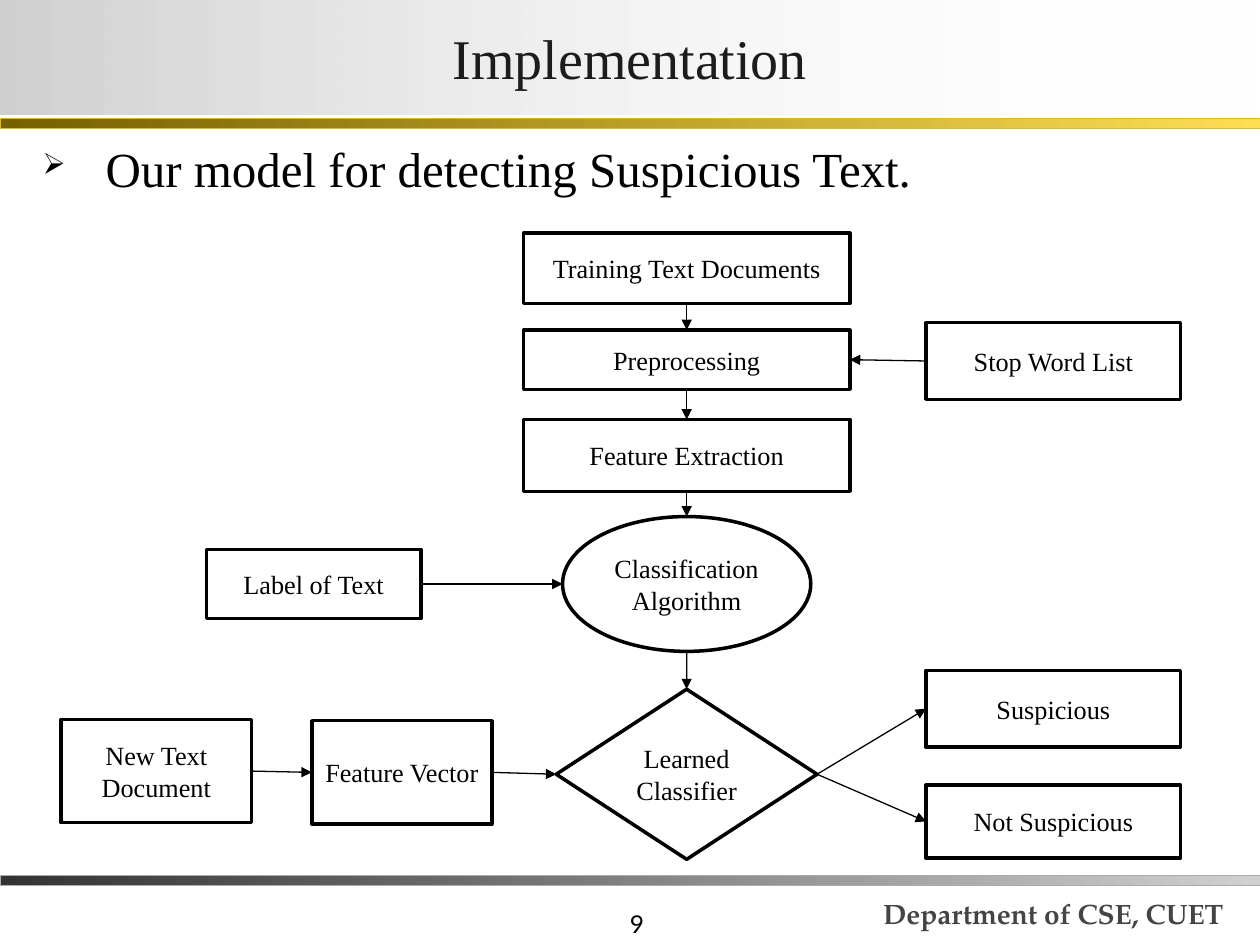
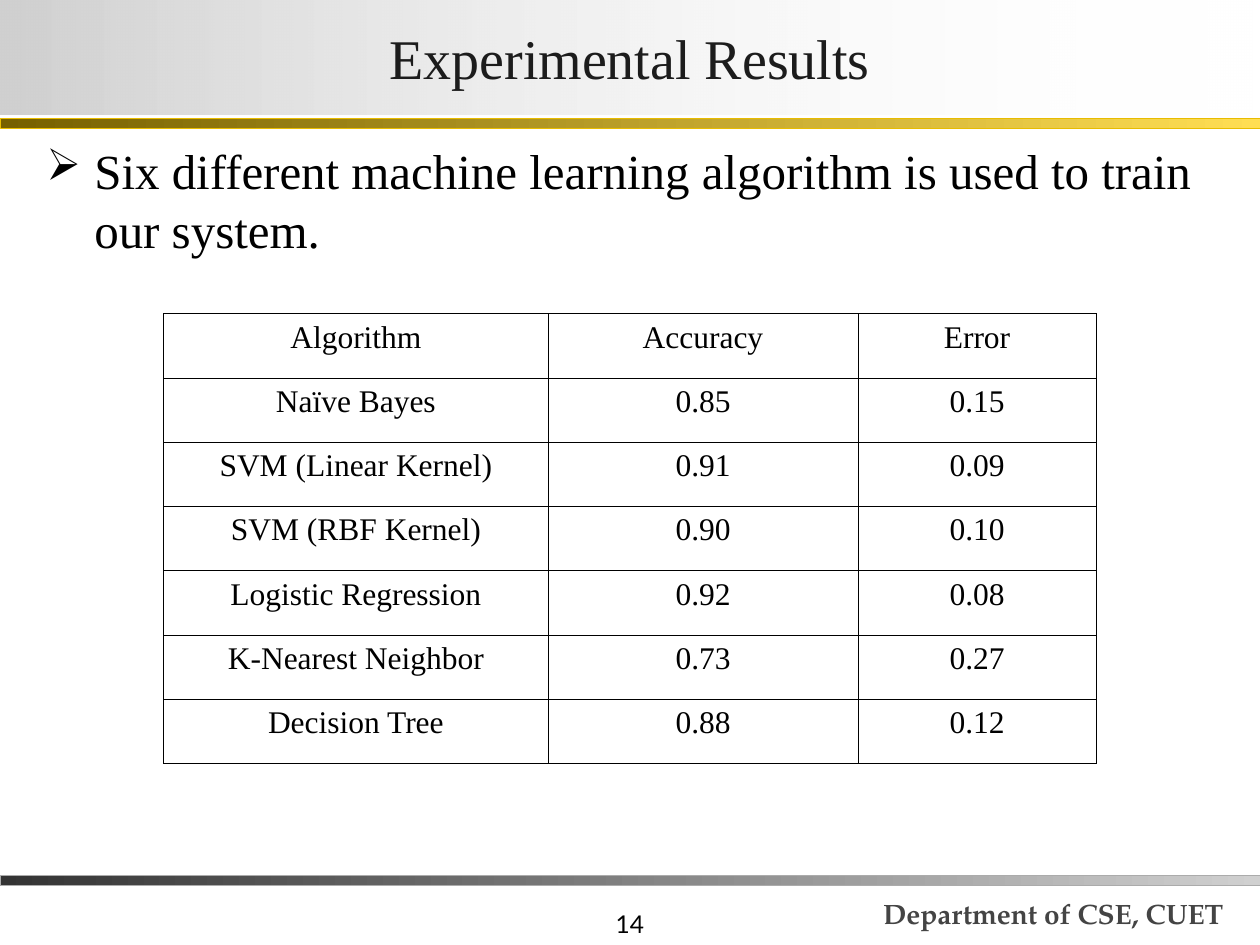
"""Build two slides on suspicious text detection: the model flowchart and the results table."""
from dataclasses import dataclass

from lxml.etree import SubElement
from pptx import Presentation
from pptx.dml.color import RGBColor
from pptx.enum.shapes import MSO_CONNECTOR, MSO_SHAPE
from pptx.enum.text import MSO_ANCHOR, PP_ALIGN
from pptx.oxml.ns import qn
from pptx.util import Inches, Pt


@dataclass(frozen=True)
class Theme:
    ink: str = "000000"
    paper: str = "FFFFFF"
    title_ink: str = "1C1C1C"
    footer_ink: str = "444444"
    title_band: tuple = ("D0D0D0", "FFFFFF")
    gold_band: tuple = ("766000", "FFDE53")
    gold_edge: str = "E8BC00"
    grey_band: tuple = ("333333", "D0D0D0")
    grey_edge: str = "ABABAB"
    body_font: str = "Times New Roman"
    number_font: str = "Lato"
    footer_font: str = "TeX Gyre Pagella"
    title_size: float = 32
    bullet_size: float = 28
    table_size: float = 18
    footer_size: float = 16
    node_size: float = 15
    number_size: float = 14
    band_line: float = 0.25
    node_line: float = 2
    arrow_line: float = 0.75
    cell_line: float = 0.45


T = Theme()
FOOTER = "Department of CSE, CUET"
TOP, LEFT, BOTTOM, RIGHT = range(4)
BOX, OVAL, DIAMOND = MSO_SHAPE.RECTANGLE, MSO_SHAPE.OVAL, MSO_SHAPE.FLOWCHART_DECISION
MAIN_X, SIDE_X = 5.45, 8.36

# name: (shape, centre x, top, width, height, lines)
NODES = {
    "training": (BOX, MAIN_X, 1.85, 2.59, 0.56, ["Training Text Documents"]),
    "preprocessing": (BOX, MAIN_X, 2.62, 2.59, 0.47, ["Preprocessing"]),
    "extraction": (BOX, MAIN_X, 3.33, 2.59, 0.57, ["Feature Extraction"]),
    "algorithm": (OVAL, MAIN_X, 4.1, 1.97, 1.07, ["Classification", "Algorithm"]),
    "classifier": (DIAMOND, MAIN_X, 5.47, 2.07, 1.35, ["Learned Classifier"]),
    "stop words": (BOX, SIDE_X, 2.56, 2.02, 0.61, ["Stop Word List"]),
    "suspicious": (BOX, SIDE_X, 5.32, 2.02, 0.61, ["Suspicious"]),
    "not suspicious": (BOX, SIDE_X, 6.23, 2.02, 0.58, ["Not Suspicious"]),
    "label": (BOX, 2.49, 4.36, 1.7, 0.55, ["Label of Text"]),
    "new document": (BOX, 1.24, 5.71, 1.51, 0.82, ["New Text Document"]),
    "vector": (BOX, 3.19, 5.72, 1.43, 0.82, ["Feature Vector"]),
}
ARROWS = [
    ("training", BOTTOM, "preprocessing", TOP),
    ("preprocessing", BOTTOM, "extraction", TOP),
    ("extraction", BOTTOM, "algorithm", TOP),
    ("algorithm", BOTTOM, "classifier", TOP),
    ("stop words", LEFT, "preprocessing", RIGHT),
    ("label", RIGHT, "algorithm", LEFT),
    ("new document", RIGHT, "vector", LEFT),
    ("vector", RIGHT, "classifier", LEFT),
    ("classifier", RIGHT, "suspicious", LEFT),
    ("classifier", RIGHT, "not suspicious", LEFT),
]
RESULTS = [
    ("Algorithm", "Accuracy", "Error"),
    ("Naïve Bayes", "0.85", "0.15"),
    ("SVM (Linear Kernel)", "0.91", "0.09"),
    ("SVM (RBF Kernel)", "0.90", "0.10"),
    ("Logistic Regression", "0.92", "0.08"),
    ("K-Nearest Neighbor", "0.73", "0.27"),
    ("Decision Tree", "0.88", "0.12"),
]
COLUMNS = (3.05, 2.46, 1.89)
ROW_HEIGHT = 0.51


def rgb(value):
    return RGBColor.from_string(value)


def write(tf, lines, size, color=T.ink, font=T.body_font, align=PP_ALIGN.CENTER, bold=False):
    tf.word_wrap = True
    for i, line in enumerate(lines):
        p = tf.add_paragraph() if i else tf.paragraphs[0]
        p.alignment = align
        r = p.add_run()
        r.text = line
        r.font.size, r.font.name, r.font.bold = Pt(size), font, bold
        r.font.color.rgb = rgb(color)


def add_text(s, box, lines, size, anchor=MSO_ANCHOR.TOP, **style):
    tf = s.shapes.add_textbox(*map(Inches, box)).text_frame
    tf.vertical_anchor = anchor
    write(tf, lines, size, **style)
    return tf


def add_band(s, top, height, colors, edge=None):
    sp = s.shapes.add_shape(BOX, 0, Inches(top), Inches(10), Inches(height))
    sp.shadow.inherit = False
    sp.fill.gradient()
    sp.fill.gradient_angle = 0
    for stop, color, position in zip(sp.fill.gradient_stops, colors, (0, 1)):
        stop.color.rgb = rgb(color)
        stop.position = position
    if edge:
        sp.line.color.rgb = rgb(edge)
        sp.line.width = Pt(T.band_line)
    else:
        sp.line.fill.background()
    return sp


def add_slide(prs, title, number):
    s = prs.slides.add_slide(prs.slide_layouts[6])
    add_text(s, (3.13, 7, 2.08, 0.5), [number], T.number_size, MSO_ANCHOR.BOTTOM,
             font=T.number_font, align=PP_ALIGN.RIGHT)
    add_text(s, (6.64, 6.8, 3.44, 0.63), [FOOTER], T.footer_size, MSO_ANCHOR.BOTTOM,
             color=T.footer_ink, font=T.footer_font, bold=True)
    add_band(s, 6.95, 0.08, T.grey_band, T.grey_edge)
    add_band(s, 0.94, 0.08, T.gold_band, T.gold_edge)
    sp = add_band(s, 0, 0.91, T.title_band)
    last_color = sp._element.spPr.findall(".//" + qn("a:srgbClr"))[-1]
    SubElement(last_color, qn("a:alpha"), val="0")
    sp.text_frame.vertical_anchor = MSO_ANCHOR.MIDDLE
    write(sp.text_frame, [title], T.title_size, T.title_ink)
    return s


def add_bullet(s, box, text, indent, percent):
    tf = add_text(s, box, [text], T.bullet_size, align=PP_ALIGN.LEFT)
    pPr = tf.paragraphs[0]._p.get_or_add_pPr()
    pPr.set("marL", str(Inches(indent)))
    pPr.set("indent", str(-Inches(indent)))
    SubElement(SubElement(pPr, qn("a:buClr")), qn("a:srgbClr"), val=T.ink)
    SubElement(pPr, qn("a:buSzPct"), val=str(percent * 1000))
    SubElement(pPr, qn("a:buChar"), char="➢")


def add_node(s, shape, centre, top, width, height, lines):
    sp = s.shapes.add_shape(shape, *map(Inches, (centre - width / 2, top, width, height)))
    sp.shadow.inherit = False
    sp.fill.solid()
    sp.fill.fore_color.rgb = rgb(T.paper)
    sp.line.color.rgb = rgb(T.ink)
    sp.line.width = Pt(T.node_line)
    sp.text_frame.vertical_anchor = MSO_ANCHOR.MIDDLE
    write(sp.text_frame, lines, T.node_size)
    return sp


def side_point(sp, side):
    dx, dy = {TOP: (1, 0), LEFT: (0, 1), BOTTOM: (1, 2), RIGHT: (2, 1)}[side]
    return sp.left + sp.width * dx // 2, sp.top + sp.height * dy // 2


def add_arrow(s, start, start_side, end, end_side):
    c = s.shapes.add_connector(MSO_CONNECTOR.STRAIGHT,
                               *side_point(start, start_side), *side_point(end, end_side))
    if start.auto_shape_type != OVAL:
        c.begin_connect(start, start_side)
    if end.auto_shape_type != OVAL:
        c.end_connect(end, end_side)
    c.line.color.rgb = rgb(T.ink)
    c.line.width = Pt(T.arrow_line)
    SubElement(c.line._get_or_add_ln(), qn("a:tailEnd"), type="triangle")
    SubElement(c._element.spPr, qn("a:effectLst"))


def add_results(s, left, top):
    frame = s.shapes.add_table(len(RESULTS), len(COLUMNS), Inches(left), Inches(top),
                               Inches(sum(COLUMNS)), Inches(ROW_HEIGHT * len(RESULTS)))
    table = frame.table
    table.first_row = table.horz_banding = False
    for column, width in zip(table.columns, COLUMNS):
        column.width = Inches(width)
    for row, values in zip(table.rows, RESULTS):
        row.height = Inches(ROW_HEIGHT)
        for cell, value in zip(row.cells, values):
            tcPr = cell._tc.get_or_add_tcPr()
            for edge in ("a:lnL", "a:lnR", "a:lnT", "a:lnB"):
                ln = SubElement(tcPr, qn(edge), w=str(Pt(T.cell_line)))
                SubElement(SubElement(ln, qn("a:solidFill")), qn("a:srgbClr"), val=T.ink)
            cell.fill.solid()
            cell.fill.fore_color.rgb = rgb(T.paper)
            write(cell.text_frame, [value], T.table_size)


def main():
    prs = Presentation()
    prs.slide_width, prs.slide_height = Inches(10), Inches(7.5)

    s = add_slide(prs, "Implementation", "9")
    nodes = {name: add_node(s, *node) for name, node in NODES.items()}
    for start, start_side, end, end_side in ARROWS:
        add_arrow(s, nodes[start], start_side, nodes[end], end_side)
    add_bullet(s, (0.24, 1.05, 7.5, 0.57), "Our model for detecting Suspicious Text.", 0.5, 60)

    s = add_slide(prs, "Experimental Results", "14")
    add_bullet(s, (0.27, 1.07, 9.45, 1.1),
               "Six different machine learning algorithm is used to train our system.", 0.38, 90)
    add_results(s, 1.3, 2.49)

    prs.save("out.pptx")


if __name__ == "__main__":
    main()
